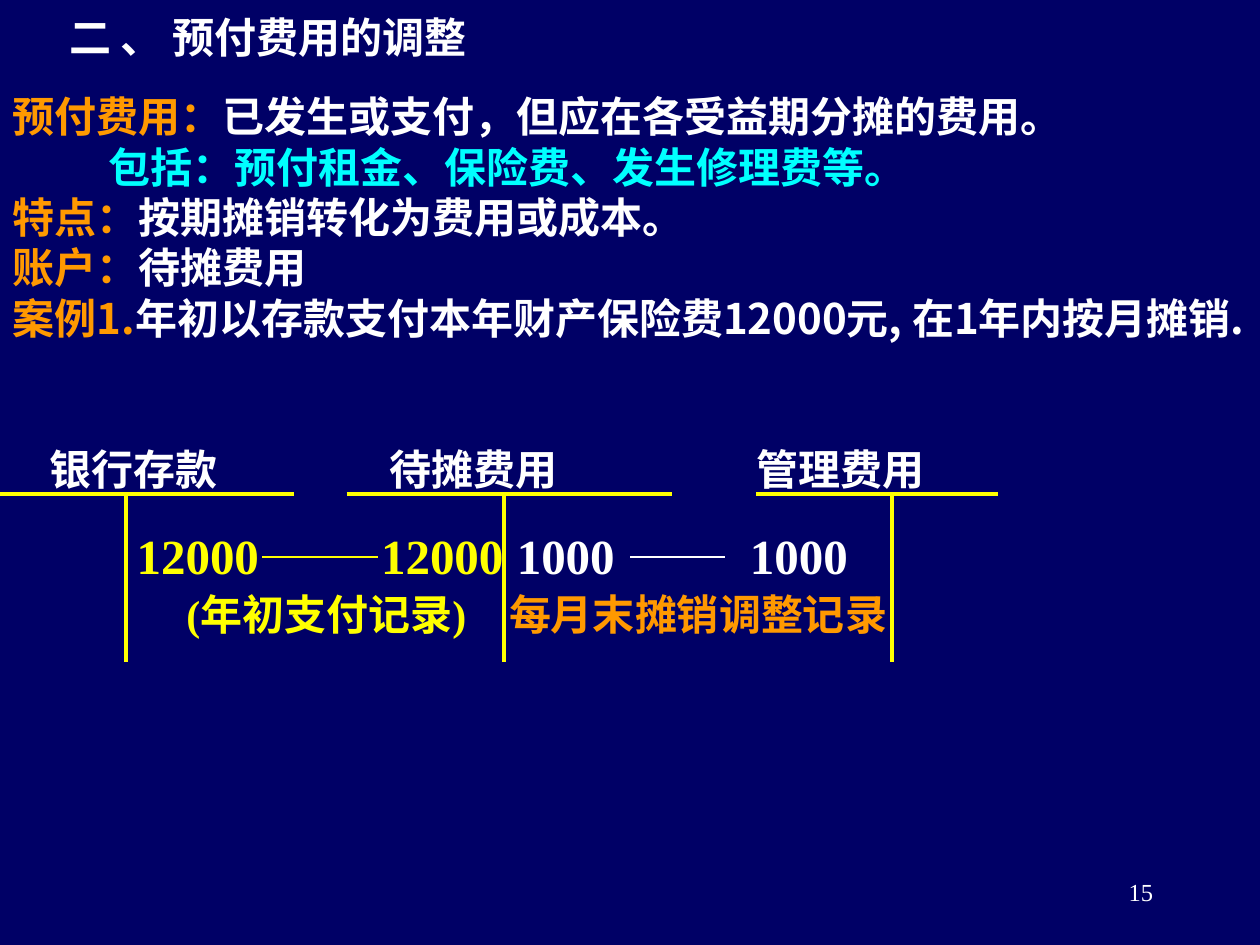
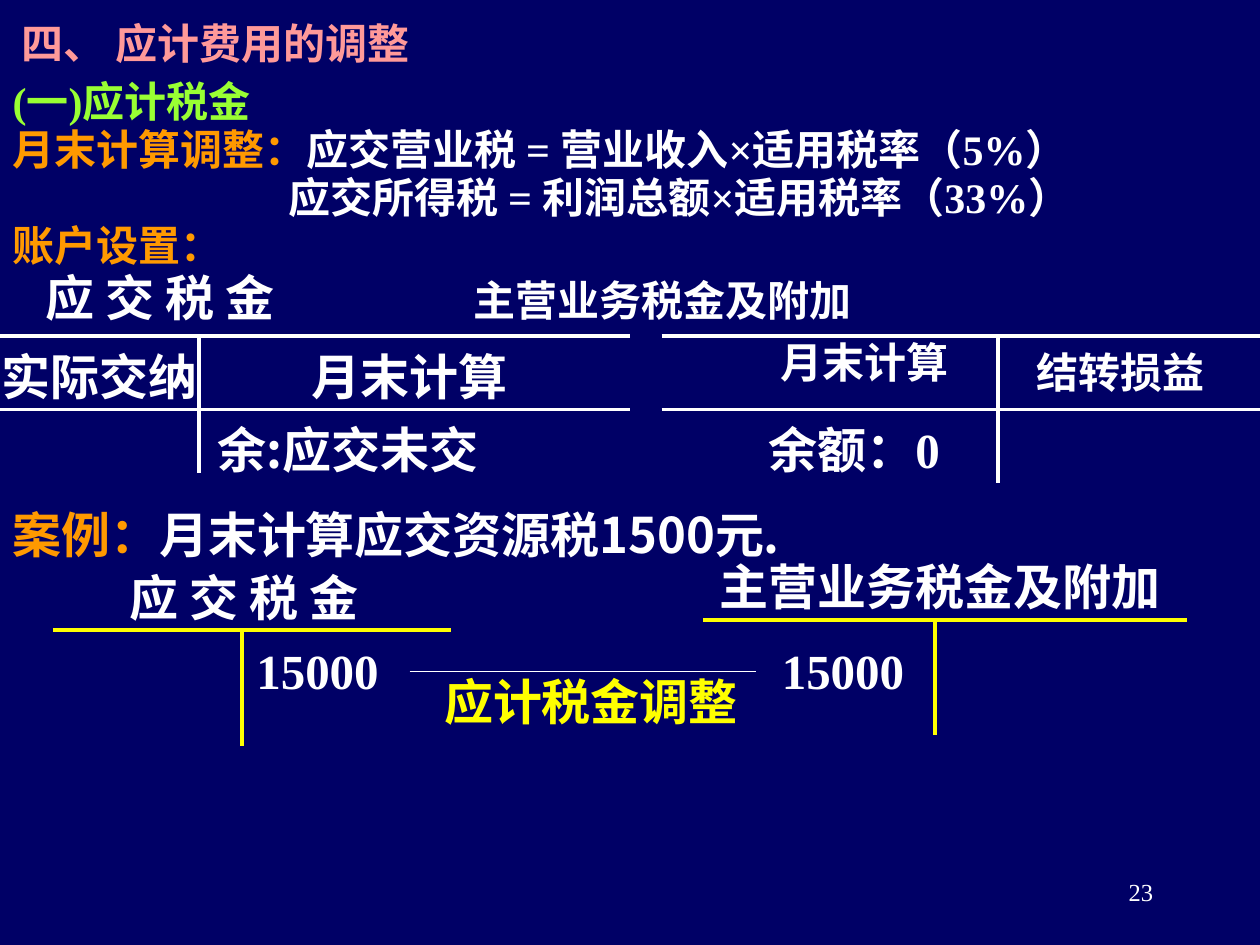
from dataclasses import dataclass

from lxml.etree import SubElement
from pptx import Presentation
from pptx.dml.color import RGBColor
from pptx.enum.shapes import MSO_CONNECTOR as Connector
from pptx.enum.text import MSO_ANCHOR as Anchor, MSO_AUTO_SIZE as AutoSize, PP_ALIGN as Align
from pptx.oxml.ns import qn
from pptx.util import Inches, Pt


@dataclass(frozen=True)
class Theme:
    navy: str = "000066"
    white: str = "FFFFFF"
    yellow: str = "FFFF00"
    orange: str = "FF9900"
    cyan: str = "00FFFF"
    pink: str = "FF9999"
    green: str = "99FF33"
    sans: str = "Noto Sans CJK SC"
    serif: str = "Times New Roman"
    large: int = 28
    normal: int = 24
    small: int = 14
    heavy: float = 2.25
    thin: float = 0.75


THEME = Theme()
HANGING = (0.38, -0.38)
NUMBER_BOX = (7.17, 6.83, 2.08, 0.5)

SLIDES = [
    {
        "title": ("二 、 预付费用的调整", THEME.white, THEME.sans, (-2.25, 0, 8.75, 0.58)),
        "body_box": (0, 0.67, 10, 6.83),
        "body_font": THEME.sans,
        "line_spacing": 1.0,
        "body": [
            (HANGING, [("预付费用：", THEME.orange), ("已发生或支付，但应在各受益期分摊的费用。", THEME.white)]),
            ((0.76, 0), [("包括：预付租金、保险费、发生修理费等。", THEME.cyan)]),
            (HANGING, [("特点：", THEME.orange), ("按期摊销转化为费用或成本。", THEME.white)]),
            (HANGING, [("账户：", THEME.orange), ("待摊费用", THEME.white)]),
            (HANGING, [("案例1.", THEME.orange),
                       ("年初以存款支付本年财产保险费12000元, 在1年内按月摊销.", THEME.white)]),
        ],
        "accounts": [
            (0, 2.33, 1, 3.92, 5.25, THEME.yellow),
            (2.75, 5.33, 4, 3.92, 5.25, THEME.yellow),
            (6, 7.92, 7.08, 3.92, 5.25, THEME.yellow),
        ],
        "balance_rules": [],
        "transfers": [(2.08, 3, 4.42, THEME.yellow), (5, 5.75, 4.42, THEME.white)],
        "labels": [
            ("银行存款", 1.06, 3.52, {"size": THEME.normal}),
            ("待摊费用", 3.76, 3.52, {"size": THEME.normal}),
            ("管理费用", 6.67, 3.52, {"size": THEME.normal}),
            ("12000", 1.57, 4.17, {"color": THEME.yellow}),
            ("12000", 3.51, 4.17, {"color": THEME.yellow}),
            ("1000", 4.49, 4.17, {}),
            ("1000", 6.34, 4.17, {}),
            ("(年初支付记录)", 2.59, 4.67, {"size": THEME.normal, "color": THEME.yellow}),
            ("每月末摊销调整记录", 5.54, 4.67, {"size": THEME.normal, "color": THEME.orange}),
        ],
        "cases": [],
        "number": "15",
    },
    {
        "title": ("四、 应计费用的调整", THEME.pink, THEME.serif, (-0.75, 0, 4.92, 0.67)),
        "body_box": (0, 0.58, 10, 6.92),
        "body_font": THEME.serif,
        "line_spacing": 0.95,
        "body": [
            (HANGING, [("(一)应计税金", THEME.green)]),
            (HANGING, [("月末计算调整：", THEME.orange),
                       ("应交营业税 = 营业收入×适用税率（5%）", THEME.white)]),
            ((2.19, 0), [("应交所得税 = 利润总额×适用税率（33%）", THEME.white)]),
            (HANGING, [("账户设置：", THEME.orange)]),
        ],
        "accounts": [
            (0, 5, 1.58, 2.67, 3.75, THEME.white),
            (5.25, 10, 7.92, 2.67, 3.83, THEME.white),
            (0.42, 3.58, 1.92, 5, 5.92, THEME.yellow),
            (5.58, 9.42, 7.42, 4.92, 5.83, THEME.yellow),
        ],
        "balance_rules": [(0, 5, 3.25), (5.25, 10, 3.25)],
        "transfers": [(3.25, 6, 5.33, THEME.white)],
        "labels": [
            ("应 交 税 金", 1.27, 2.12, {"font": THEME.sans}),
            ("主营业务税金及附加", 5.26, 2.18, {"size": THEME.normal, "font": THEME.sans}),
            ("实际交纳", 0.79, 2.75, {}),
            ("月末计算", 3.25, 2.75, {}),
            ("余:应交未交", 2.76, 3.33, {"font": THEME.sans}),
            ("月末计算", 6.86, 2.67, {"size": THEME.normal}),
            ("结转损益", 8.89, 2.75, {"size": THEME.normal}),
            ("余额：0", 6.78, 3.33, {}),
            ("应 交 税 金", 1.94, 4.5, {}),
            ("主营业务税金及附加", 7.46, 4.42, {}),
            ("15000", 2.52, 5.08, {}),
            ("15000", 6.69, 5.08, {}),
            ("应计税金调整", 4.69, 5.33, {"color": THEME.yellow}),
        ],
        "cases": [
            ((0, 4, 9.99, 0.52), [("案例：", THEME.orange), ("月末计算应交资源税1500元.", THEME.white)]),
        ],
        "number": "23",
    },
]


def place(shape, box):
    shape.left, shape.top, shape.width, shape.height = map(Inches, box)


def set_frame(frame, top_inset=0.05, anchor=Anchor.TOP):
    frame.word_wrap = True
    frame.auto_size = AutoSize.NONE
    frame.vertical_anchor = anchor
    frame.margin_left = frame.margin_right = Inches(0.1)
    frame.margin_top, frame.margin_bottom = Inches(top_inset), Inches(0.05)


def write(paragraph, text, size=THEME.large, color=THEME.white, font=THEME.serif,
          bold=True, align=Align.CENTER):
    paragraph.alignment = align
    paragraph.space_before = Pt(0)
    run = paragraph.add_run()
    run.text = text
    run.font.size = Pt(size)
    run.font.bold = bold
    run.font.name = font
    run.font.color.rgb = RGBColor.from_string(color)
    SubElement(run.font._element, qn("a:ea"), typeface=THEME.sans)


def add_text_box(slide, box, runs, top_inset=0, anchor=Anchor.TOP, **text_format):
    frame = slide.shapes.add_textbox(*map(Inches, box)).text_frame
    set_frame(frame, top_inset, anchor)
    for text, color in runs:
        write(frame.paragraphs[0], text, color=color, **text_format)


def add_label(slide, text, center, top, size=THEME.large, color=THEME.white, font=THEME.serif):
    width = len(text) * size / 72 + 0.4
    box = (center - width / 2, top, width, size / 54)
    add_text_box(slide, box, [(text, color)], size=size, font=font)


def add_line(slide, start, end, color, weight=THEME.heavy):
    line = slide.shapes.add_connector(Connector.STRAIGHT, *map(Inches, start + end))
    line.line.color.rgb = RGBColor.from_string(color)
    line.line.width = Pt(weight)
    SubElement(line._element.spPr, qn("a:effectLst"))


def add_account(slide, left, right, stem, top, bottom, color):
    add_line(slide, (left, top), (right, top), color)
    add_line(slide, (stem, top), (stem, bottom), color)


def fill_title(shape, text, color, font, box):
    place(shape, box)
    set_frame(shape.text_frame, anchor=Anchor.MIDDLE)
    write(shape.text_frame.paragraphs[0], text, size=THEME.normal, color=color, font=font)


def fill_body(shape, content):
    place(shape, content["body_box"])
    frame = shape.text_frame
    set_frame(frame)
    for index, ((margin, indent), runs) in enumerate(content["body"]):
        paragraph = frame.add_paragraph() if index else frame.paragraphs[0]
        properties = paragraph._p.get_or_add_pPr()
        properties.set("marL", str(Inches(margin)))
        properties.set("indent", str(Inches(indent)))
        SubElement(properties, qn("a:buNone"))
        paragraph.line_spacing = content["line_spacing"]
        for text, color in runs:
            write(paragraph, text, size=THEME.normal, color=color,
                  font=content["body_font"], align=Align.LEFT)


def build_slide(presentation, content):
    slide = presentation.slides.add_slide(presentation.slide_layouts[1])
    fill_title(slide.shapes.title, *content["title"])
    fill_body(slide.placeholders[1], content)
    for account in content["accounts"]:
        add_account(slide, *account)
    for left, right, top in content["balance_rules"]:
        add_line(slide, (left, top), (right, top), THEME.white)
    for left, right, top, color in content["transfers"]:
        add_line(slide, (left, top), (right, top), color, THEME.thin)
    for text, center, top, text_format in content["labels"]:
        add_label(slide, text, center, top, **text_format)
    for box, runs in content["cases"]:
        add_text_box(slide, box, runs, font=THEME.sans, align=Align.LEFT)
    add_text_box(slide, NUMBER_BOX, [(content["number"], THEME.white)], top_inset=0.05,
                 anchor=Anchor.MIDDLE, size=THEME.small, bold=False, align=Align.RIGHT)


def main():
    presentation = Presentation()
    presentation.slide_width, presentation.slide_height = Inches(10), Inches(7.5)
    background = presentation.slide_master.background.fill
    background.solid()
    background.fore_color.rgb = RGBColor.from_string(THEME.navy)
    for content in SLIDES:
        build_slide(presentation, content)
    presentation.save("out.pptx")


if __name__ == "__main__":
    main()
